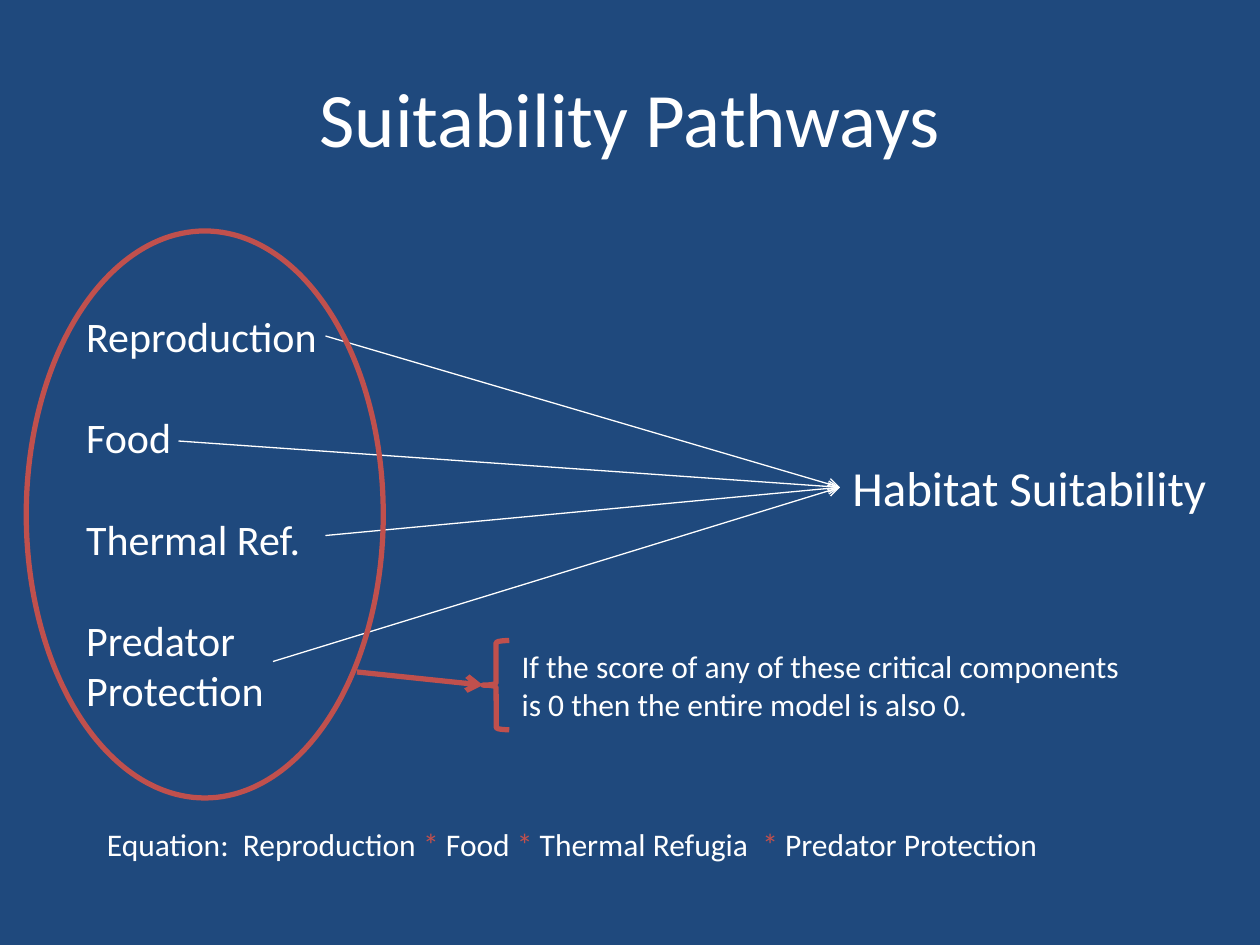
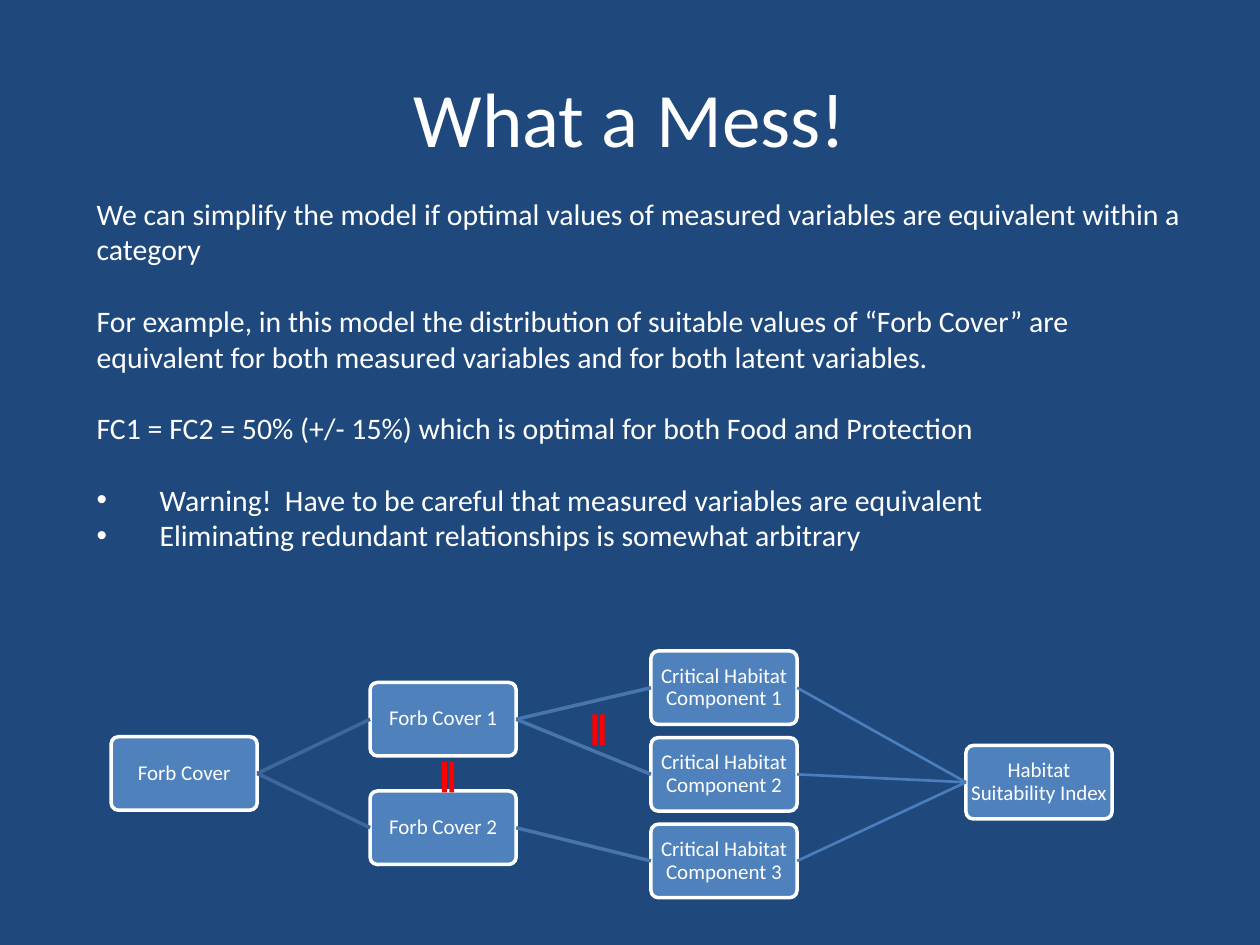
from itertools import product
from lxml.etree import SubElement
from pptx import Presentation
from pptx.dml.color import RGBColor
from pptx.enum.shapes import MSO_CONNECTOR, MSO_SHAPE
from pptx.enum.text import MSO_ANCHOR, MSO_AUTO_SIZE, PP_ALIGN
from pptx.oxml.ns import qn
from pptx.util import Pt


class Theme:
    font = "Calibri"
    back, white, red = "1F497D", "FFFFFF", "C0504D"
    node, mark = "4F81BD", "FF0000"
    links = [("3F6797", 2), ("4875AC", 2), ("4B7EBC", 1.5)]
    title, goal, factor, note, body, label = 44, 28, 24, 18, 17, 12
    thin, thick, edge = 0.75, 3, 2


# Content: list rows are (text, gap above, bullet)
PATHS = {
    "title": "Suitability Pathways",
    "box": (42, 174, 150.5, 240),
    "rows": [("Reproduction", 0, False), ("Food", 29, False),
             ("Thermal Ref.", 29, False), ("Predator Protection", 29, False)],
    "starts": [(186, 192), (102, 252), (186, 306), (156, 378)],
    "goal": "Habitat Suitability",
    "note": "If the score of any of these critical components "
            "is 0 then the entire model is also 0.",
    "terms": ["Equation:  Reproduction ", " Food ", " Thermal Refugia  ",
              " Predator Protection"],
}
MESS = {
    "title": "What a Mess!",
    "box": (48, 108, 636, 213),
    "rows": [
        ("We can simplify the model if optimal values of measured variables "
         "are equivalent within a category", 0, False),
        ("For example, in this model the distribution of suitable values of "
         "“Forb Cover” are equivalent for both measured variables and for "
         "both latent variables.", 20.5, False),
        ("FC1 = FC2 = 50% (+/- 15%) which is optimal for both Food and "
         "Protection", 20.5, False),
        ("Warning!  Have to be careful that measured variables are "
         "equivalent", 20.5, True),
        ("Eliminating redundant relationships is somewhat arbitrary", 0, True),
    ],
    # Tree columns: left edge, middle height, step between nodes, labels
    "tree": [
        (63.5, 442, 0, ["Forb Cover"]),
        (211.5, 442, 62, ["Forb Cover 1", "Forb Cover 2"]),
        (372, 442.5, 49.5, [f"Critical Habitat Component {n}"
                            for n in (1, 2, 3)]),
        (552, 447, 0, ["Habitat Suitability Index"]),
    ],
    "skip": {("Forb Cover 1", "Critical Habitat Component 3"),
             ("Forb Cover 2", "Critical Habitat Component 1"),
             ("Forb Cover 2", "Critical Habitat Component 2")},
    "marks": [(244, 438), (330, 411)],
}
NODE = (83.5, 42)
MARK = (24, 12)


# Shared helpers
def apply(obj, **values):
    for name, value in values.items():
        setattr(obj, name, value)


def color(code):
    return RGBColor.from_string(code)


def spot(*nums):
    return [Pt(n) for n in nums]


def place(shape, box):
    apply(shape, **dict(zip(("left", "top", "width", "height"), spot(*box))))


def write(para, text, size, tint=Theme.white):
    run = para.add_run()
    run.text = text
    apply(run.font, name=Theme.font, size=Pt(size))
    run.font.color.rgb = color(tint)


def stroke(line, tint, width):
    line.color.rgb = color(tint)
    line.width = Pt(width)


def outline(slide, kind, box, fill=None, line=None, width=Theme.thick):
    shape = slide.shapes.add_shape(kind, *spot(*box))
    shape.shadow.inherit = False
    if fill:
        shape.fill.solid()
        shape.fill.fore_color.rgb = color(fill)
    else:
        shape.fill.background()
    if line:
        stroke(shape.line, line, width)
    else:
        shape.line.fill.background()
    return shape


def text_box(slide, box, runs, size, wrap=True):
    shape = slide.shapes.add_textbox(*spot(*box))
    apply(shape.text_frame, word_wrap=wrap,
          auto_size=MSO_AUTO_SIZE.SHAPE_TO_FIT_TEXT)
    for text, tint in runs:
        write(shape.text_frame.paragraphs[0], text, size, tint)
    return shape


def connect(slide, start, end, tint, width, arrow=False):
    """Join a point or a node's right side to a shape's left side."""
    free = isinstance(start, tuple)
    link = slide.shapes.add_connector(
        MSO_CONNECTOR.STRAIGHT, *spot(*(start if free else (0, 0)), 0, 0))
    if not free:
        link.begin_connect(start, 3)
    link.end_connect(end, 1)
    stroke(link.line, tint, width)
    props = link._element.spPr
    if arrow:
        SubElement(props.find(qn("a:ln")), qn("a:tailEnd"), type="arrow")
    SubElement(props, qn("a:effectLst"))


def new_slide(deck, data, size):
    slide = deck.slides.add_slide(deck.slide_layouts[1])
    title, body = slide.placeholders
    place(title, (36, 21.6, 648, 90))
    write(title.text_frame.paragraphs[0], data["title"], Theme.title)

    place(body, data["box"])
    frame = body.text_frame
    apply(frame, word_wrap=True, auto_size=MSO_AUTO_SIZE.NONE)
    for num, (text, gap, dot) in enumerate(data["rows"]):
        para = frame.add_paragraph() if num else frame.paragraphs[0]
        apply(para, space_before=Pt(gap), space_after=Pt(0))
        write(para, text, size)
        props = para._p.get_or_add_pPr()
        indent = Pt(36) if dot else 0
        props.set("marL", str(indent))
        props.set("indent", str(-indent))
        if dot:
            SubElement(props, qn("a:buChar"), char="•")
        else:
            SubElement(props, qn("a:buNone"))
    return slide


# Slide 1: four factors lead to one goal
def draw_paths(deck):
    slide = new_slide(deck, PATHS, Theme.factor)
    goal = text_box(slide, (480, 258, 219, 41),
                    [(PATHS["goal"], Theme.white)], Theme.goal, wrap=False)
    for start in PATHS["starts"]:
        connect(slide, start, goal, Theme.white, Theme.thin, arrow=True)
    outline(slide, MSO_SHAPE.OVAL, (15, 132, 204, 324), line=Theme.red)
    text_box(slide, (291, 366, 363, 51),
             [(PATHS["note"], Theme.white)], Theme.note)
    brace = outline(slide, MSO_SHAPE.LEFT_BRACE, (276, 366, 15, 51),
                    line=Theme.red)
    connect(slide, (204, 384), brace, Theme.red, Theme.thick, arrow=True)

    first, *rest = PATHS["terms"]
    runs = [(first, Theme.white)]
    for term in rest:
        runs += [("*", Theme.red), (term, Theme.white)]
    text_box(slide, (54, 468, 630, 29), runs, Theme.note)


# Slide 2: text above a tree of nodes
def draw_node(slide, left, top, text):
    node = outline(slide, MSO_SHAPE.ROUNDED_RECTANGLE, (left, top, *NODE),
                   Theme.node, Theme.white, Theme.edge)
    node.adjustments[0] = 0.1
    frame = node.text_frame
    sides = ("left", "right", "top", "bottom")
    apply(frame, word_wrap=True, vertical_anchor=MSO_ANCHOR.MIDDLE,
          **{f"margin_{side}": Pt(1.5) for side in sides})
    para = frame.paragraphs[0]
    apply(para, alignment=PP_ALIGN.CENTER, line_spacing=0.9)
    write(para, text, Theme.label)
    return node


def draw_mess(deck):
    slide = new_slide(deck, MESS, Theme.body)
    cols = []
    for left, mid, step, names in MESS["tree"]:
        top = mid - NODE[1] / 2 - step * (len(names) - 1) / 2
        cols.append({name: draw_node(slide, left, top + step * num, name)
                     for num, name in enumerate(names)})
    for near, far, (tint, width) in zip(cols, cols[1:], Theme.links):
        for pair in product(near, far):
            if pair not in MESS["skip"]:
                connect(slide, near[pair[0]], far[pair[1]], tint, width)
    for left, top in MESS["marks"]:
        mark = outline(slide, MSO_SHAPE.MATH_EQUAL, (left, top, *MARK),
                       Theme.mark)
        mark.rotation = 90


def main():
    deck = Presentation()
    apply(deck, slide_width=Pt(720), slide_height=Pt(540))
    fill = deck.slide_master.background.fill
    fill.solid()
    fill.fore_color.rgb = color(Theme.back)
    draw_paths(deck)
    draw_mess(deck)
    deck.save("out.pptx")


if __name__ == "__main__":
    main()
